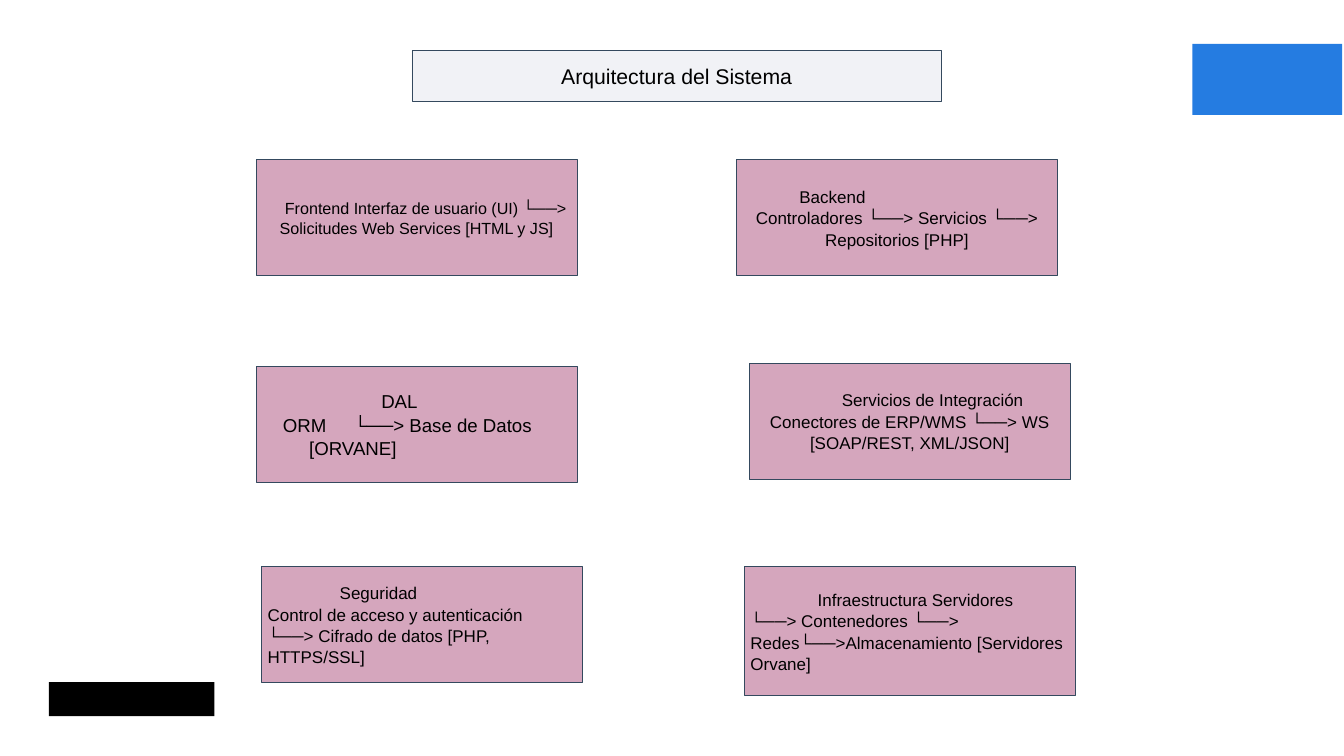
"""Builds the system architecture slide with six component boxes."""
from pptx import Presentation
from pptx import util as u
from pptx.dml.color import RGBColor
from pptx.enum import shapes, text

PINK = RGBColor(0xD5, 0xA6, 0xBD)
PALE = RGBColor(0xF1, 0xF2, 0xF6)
NAVY = RGBColor(0x34, 0x49, 0x5E)
BLUE = RGBColor(0x25, 0x7C, 0xE1)
BLACK = RGBColor(0, 0, 0)
LEFT, CENTER = text.PP_ALIGN.LEFT, text.PP_ALIGN.CENTER

WIDTH, HEIGHT = 21.99, 12.37
COLUMNS = (4.19, 12.05)
TOP, ROW_STEP = 2.61, 3.33
BOX_W, BOX_H = 5.25, 1.9

TITLE = "Arquitectura del Sistema"
# column, row, offset (x, y), extra size (w, h), points, lines (text, alignment, first-line indent)
BOXES = [
    (0, 0, (0, 0), (0, 0), 19, [
        ("Frontend Interfaz de usuario (UI) └──> Solicitudes Web Services [HTML y JS]", CENTER, 0.3)]),
    (1, 0, (0, 0), (0, 0), 20, [
        ("Backend", LEFT, 0.93),
        ("Controladores └──> Servicios └──> Repositorios [PHP]", CENTER, 0)]),
    (0, 1, (0, 0.05), (0, 0), 22, [
        ("DAL", LEFT, 1.95),
        ("ORM\t└──> Base de Datos", LEFT, 0.34),
        ("[ORVANE]", LEFT, 0.77)]),
    (1, 1, (0.21, 0), (0, 0), 20, [
        ("Servicios de Integración Conectores de ERP/WMS └──> WS", CENTER, 0.75),
        ("[SOAP/REST, XML/JSON]", CENTER, 0)]),
    (0, 2, (0.09, 0), (0, 0), 20, [
        ("Seguridad", LEFT, 1.18),
        ("Control de acceso y autenticación", LEFT, 0),
        ("└──> Cifrado de datos [PHP, HTTPS/SSL]", LEFT, 0)]),
    (1, 2, (0.13, 0), (0.16, 0.21), 20, [
        ("Infraestructura Servidores", LEFT, 1.1),
        ("└──> Contenedores └──> Redes└──>Almacenamiento [Servidores Orvane]", LEFT, 0)]),
]
ARROW_TAB = 1.31


def paint(sp, fill, line=None):
    sp.fill.solid()
    sp.fill.fore_color.rgb = fill
    if line is None:
        sp.line.fill.background()
    else:
        sp.line.color.rgb = line
        sp.line.width = u.Pt(0.75)


def add_rect(s, x, y, w, h, fill, line=None):
    sp = s.shapes.add_shape(shapes.MSO_SHAPE.RECTANGLE, *map(u.Inches, (x, y, w, h)))
    sp.shadow.inherit = False
    paint(sp, fill, line)
    return sp


def write(sp, lines, size):
    tf = sp.text_frame
    tf.word_wrap = True
    tf.auto_size = text.MSO_AUTO_SIZE.NONE
    tf.vertical_anchor = text.MSO_ANCHOR.MIDDLE
    tf.margin_left = tf.margin_right = tf.margin_top = tf.margin_bottom = u.Inches(0.1)
    for i, (words, align, indent) in enumerate(lines):
        p = tf.paragraphs[0] if i == 0 else tf.add_paragraph()
        p.text = words
        p.alignment = align
        p.line_spacing = 1.05
        pPr = p._p.get_or_add_pPr()
        pPr.set("marL", "0")
        pPr.set("indent", str(u.Inches(indent)))
        if "\t" in words:
            tabs = pPr.makeelement(TAB_NS + "tabLst", {})
            tabs.append(pPr.makeelement(TAB_NS + "tab", {"pos": str(u.Inches(ARROW_TAB)), "algn": "l"}))
            pPr.append(tabs)
        for r in p.runs:
            r.font.name = "Arial"
            r.font.size = u.Pt(size)
            r.font.color.rgb = BLACK


TAB_NS = "{http://schemas.openxmlformats.org/drawingml/2006/main}"


def main():
    prs = Presentation()
    prs.slide_width, prs.slide_height = u.Inches(WIDTH), u.Inches(HEIGHT)
    s = prs.slides.add_slide(prs.slide_layouts[5])

    add_rect(s, 0.8, 11.16, 2.71, 0.56, BLACK)
    add_rect(s, 19.51, 0.72, 2.45, 1.16, BLUE)

    for col, row, (dx, dy), (dw, dh), size, lines in BOXES:
        sp = add_rect(s, COLUMNS[col] + dx, TOP + row * ROW_STEP + dy,
                      BOX_W + dw, BOX_H + dh, PINK, NAVY)
        write(sp, lines, size)

    title = s.shapes.title
    title.left, title.top, title.width, title.height = map(u.Inches, (6.74, 0.83, 8.66, 0.82))
    paint(title, PALE, NAVY)
    write(title, [(TITLE, CENTER, 0)], 25)

    prs.save("out.pptx")


if __name__ == "__main__":
    main()
